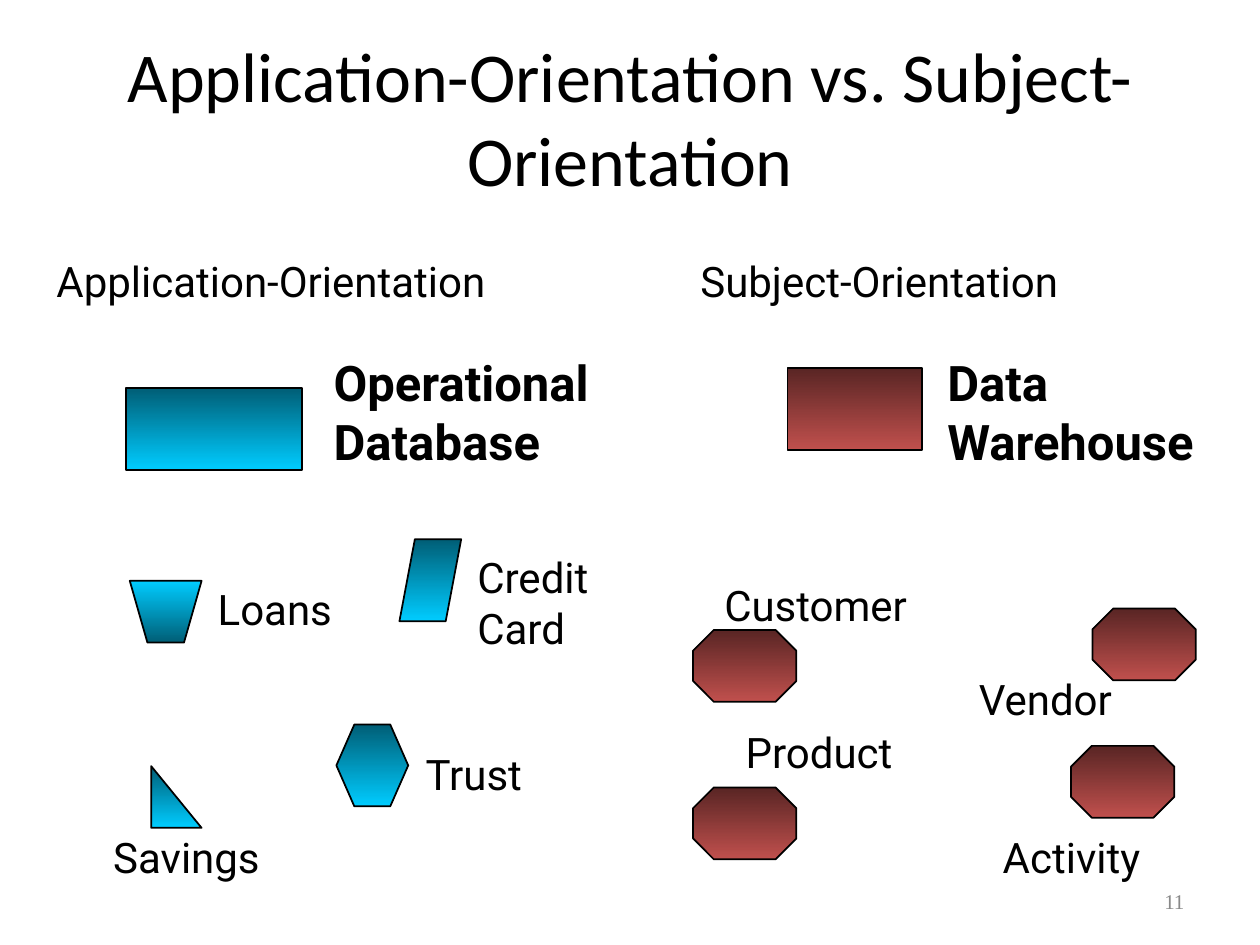
from pptx import Presentation
from pptx.dml.color import RGBColor
from pptx.enum.shapes import MSO_SHAPE
from pptx.enum.text import MSO_ANCHOR, MSO_AUTO_SIZE, PP_ALIGN
from pptx.util import Inches, Pt


def color(hex_value):
    return RGBColor.from_string(hex_value)


def write(box, text, size=24, font="Roboto", ink="000000", bold=False,
          align=PP_ALIGN.LEFT, anchor=MSO_ANCHOR.TOP, wrap=False,
          fit=MSO_AUTO_SIZE.SHAPE_TO_FIT_TEXT):
    frame = box.text_frame
    frame.text = text
    frame_format = {"word_wrap": wrap, "auto_size": fit, "vertical_anchor": anchor}
    for name, value in frame_format.items():
        setattr(frame, name, value)
    for paragraph in frame.paragraphs:
        paragraph.alignment = align
        for run in paragraph.runs:
            font_format = {"name": font, "size": Pt(size), "bold": bold}
            for name, value in font_format.items():
                setattr(run.font, name, value)
            run.font.color.rgb = color(ink)


presentation = Presentation()
presentation.slide_width, presentation.slide_height = Inches(10), Inches(7.5)
slide = presentation.slides.add_slide(presentation.slide_layouts[5])

# Title
title = slide.shapes.title
title_place = {"left": 0.5, "top": 0.3, "width": 9, "height": 1.25}
for name, value in title_place.items():
    setattr(title, name, Inches(value))
write(title, "Application-Orientation vs. Subject-Orientation", size=40,
      font="Calibri", align=PP_ALIGN.CENTER, anchor=MSO_ANCHOR.MIDDLE,
      wrap=True, fit=MSO_AUTO_SIZE.NONE)

# Slide number
page_number = slide.shapes.add_textbox(Inches(7.17), Inches(6.95), Inches(2.33), Inches(0.4))
write(page_number, "11", size=12, font="Times New Roman", ink="898989",
      align=PP_ALIGN.RIGHT, anchor=MSO_ANCHOR.MIDDLE, wrap=True,
      fit=MSO_AUTO_SIZE.NONE)

# Symbols: preset, left, top, width, height, adjustment
application_symbols = [
    (MSO_SHAPE.RECTANGLE, 1, 3.08, 1.4, 0.65, None),
    (MSO_SHAPE.HEXAGON, 2.67, 5.75, 0.57, 0.65, 0.25),
    (MSO_SHAPE.RIGHT_TRIANGLE, 1.2, 6.08, 0.4, 0.49, None),
    (MSO_SHAPE.PARALLELOGRAM, 3.17, 4.28, 0.49, 0.65, 0.25),
]
subject_symbols = [(MSO_SHAPE.RECTANGLE, 6.25, 2.92, 1.07, 0.65, None)] + [
    (MSO_SHAPE.OCTAGON, left, top, 0.82, 0.57, 0.29)
    for left, top in [(5.5, 5), (8.67, 4.83), (8.5, 5.92), (5.5, 6.25)]
]

# Labels: text, left, top, width, height, format
application_labels = [
    ("Application-Orientation", 0.35, 1.98, 3.86, 0.5, {}),
    ("Operational Database", 2.55, 2.75, 2.53, 1.03,
     {"size": 28, "bold": True, "wrap": True}),
    ("Loans", 1.63, 4.58, 1.13, 0.5, {}),
    ("Credit\nCard", 3.69, 4.33, 1.23, 0.9, {}),
    ("Trust", 3.28, 5.89, 1.01, 0.5, {}),
    ("Savings", 0.8, 6.55, 1.39, 0.5, {}),
]
subject_labels = [
    ("Subject-Orientation", 5.46, 1.98, 3.25, 0.5, {}),
    ("Data\nWarehouse", 7.42, 2.75, 2.39, 1.03, {"size": 28, "bold": True}),
    ("Customer", 5.65, 4.55, 1.73, 0.5, {}),
    ("Vendor", 7.67, 5.3, 1.34, 0.5, {}),
    ("Product", 5.82, 5.72, 1.48, 0.5, {"wrap": True}),
    ("Activity", 7.86, 6.55, 1.32, 0.5, {}),
]

# Loans trapezoid, turned upside down together with its gradient
application_side = slide.shapes.add_group_shape()
subject_side = slide.shapes.add_group_shape()
outline = application_side.shapes.build_freeform(Inches(1.03), Inches(5.1))
outline.add_line_segments(
    [(Inches(x), Inches(y)) for x, y in [(1.17, 4.61), (1.46, 4.61), (1.6, 5.1)]],
    close=True)
loans = outline.convert_to_shape()
loans.rotation = 180

# Both sides: gradient symbols first, then their labels
sides = [
    (application_side, [loans], application_symbols, application_labels, ("005E76", "00CCFF")),
    (subject_side, [], subject_symbols, subject_labels, ("592524", "C0504D")),
]
for side, symbols, presets, labels, gradient in sides:
    for preset, left, top, width, height, adjustment in presets:
        symbol = side.shapes.add_shape(
            preset, Inches(left), Inches(top), Inches(width), Inches(height))
        if adjustment is not None:
            symbol.adjustments[0] = adjustment
        symbols.append(symbol)
    for symbol in symbols:
        symbol.shadow.inherit = False
        symbol.fill.gradient()
        symbol.fill.gradient_angle = 270
        for stop, position, shade in zip(symbol.fill.gradient_stops, (0, 1), gradient):
            stop.position = position
            stop.color.rgb = color(shade)
        symbol.line.color.rgb = color("000000")
        symbol.line.width = Pt(1)
    for text, left, top, width, height, text_format in labels:
        label = side.shapes.add_textbox(
            Inches(left), Inches(top), Inches(width), Inches(height))
        write(label, text, **text_format)

presentation.save("out.pptx")
